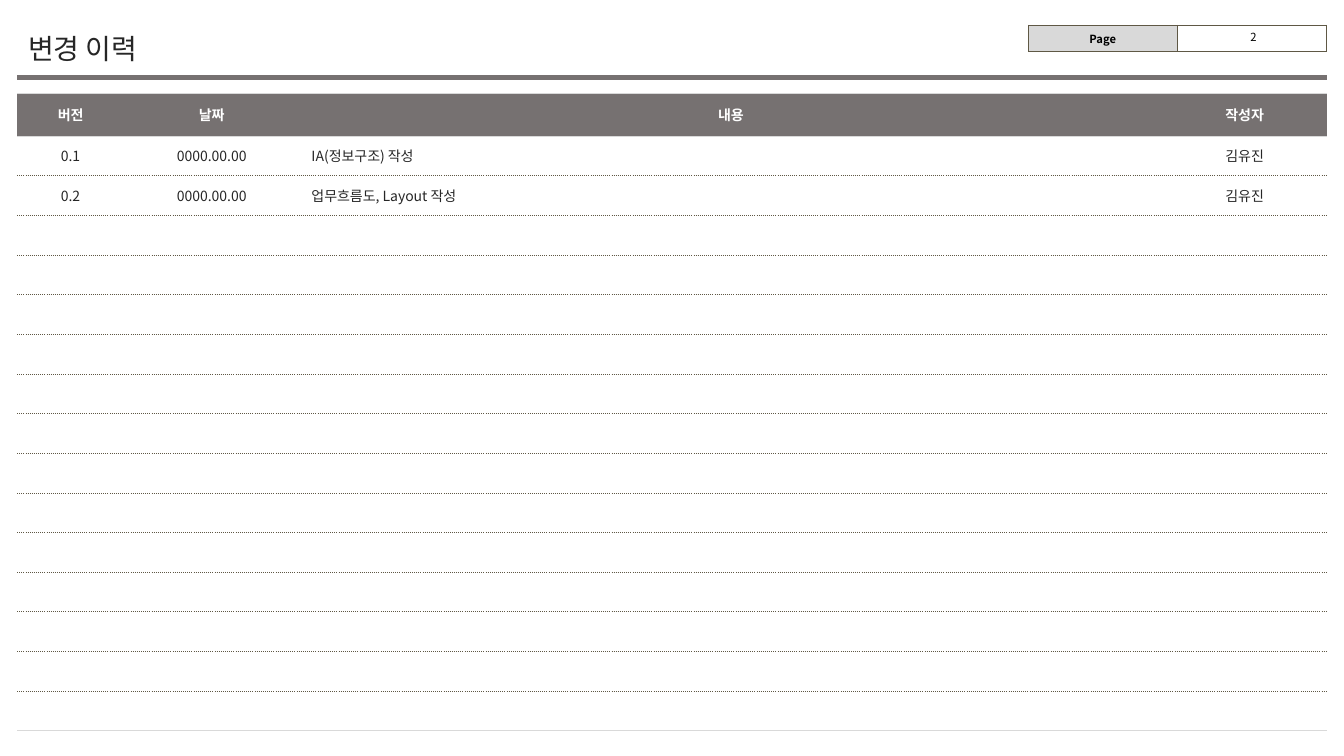
from dataclasses import dataclass

from lxml import etree
from pptx import Presentation
from pptx import util as u
from pptx.dml.color import RGBColor
from pptx.enum import shapes, text
from pptx.oxml.ns import qn

PX = 9144  # EMU per px, 100 px to the inch


@dataclass(frozen=True)
class Theme:
    font: str = "Noto Sans CJK KR"
    bar: str = "767171"
    rule: str = "5F5845"
    pale: str = "D9D9D9"
    white: str = "FFFFFF"
    black: str = "000000"
    ink: str = "262626"
    title: int = 20
    body: int = 10
    small: int = 8


T = Theme()
CENTER, LEFT = text.PP_ALIGN.CENTER, text.PP_ALIGN.LEFT
SOLID, DOTTED, HAIR = (T.rule, "solid"), (T.rule, "dot"), (T.pale, "solid")


def px(*lengths):
    return [round(n * PX) for n in lengths]


def write(tf, words, size, color, align=LEFT, bold=False):
    p = tf.paragraphs[0]
    p.alignment = align
    if words:
        p.add_run().text = words
    else:  # keeps an empty row from growing
        etree.SubElement(p._p, qn("a:endParaRPr"), sz=str(size * 100))
    f = p.font
    f.name, f.size, f.bold = T.font, u.Pt(size), bold
    f.color.rgb = RGBColor.from_string(color)
    rpr = p._p.pPr.find(qn("a:defRPr"))
    etree.SubElement(rpr, qn("a:ea"), typeface=T.font)
    return p


def add_text(s, box, words, size, color, align=LEFT, inset=(10, 5)):
    tf = s.shapes.add_textbox(*px(*box)).text_frame
    tf.word_wrap = True
    tf.vertical_anchor = text.MSO_ANCHOR.MIDDLE
    tf.margin_left = tf.margin_right = px(inset[0])[0]
    tf.margin_top = tf.margin_bottom = px(inset[1])[0]
    return write(tf, words, size, color, align)


def add_grid(s, box, cols, rows):
    tbl = s.shapes.add_table(len(rows), len(cols), *px(*box)).table
    tbl.first_row = tbl.horz_banding = False
    for col, width in zip(tbl.columns, px(*cols)):
        col.width = width
    for row, height in zip(tbl.rows, px(*rows)):
        row.height = height
    return tbl


def dress(cell, fill, inset, sides, top, bottom):
    """Fill, insets and borders of a cell; a border is (colour, dash) or None."""
    cell.vertical_anchor = text.MSO_ANCHOR.MIDDLE
    cell.margin_left = cell.margin_right = px(inset[0])[0]
    cell.margin_top = cell.margin_bottom = px(inset[1])[0]
    cell.fill.solid()
    cell.fill.fore_color.rgb = RGBColor.from_string(fill)
    tc_pr = cell._tc.get_or_add_tcPr()
    for i, (side, line) in enumerate(zip("LRTB", (sides, sides, top, bottom))):
        ln = etree.Element(qn(f"a:ln{side}"), w=str(u.Pt(0.5)))
        if line:
            paint = etree.SubElement(ln, qn("a:solidFill"))
            etree.SubElement(paint, qn("a:srgbClr"), val=line[0])
            etree.SubElement(ln, qn("a:prstDash"), val=line[1])
        else:
            etree.SubElement(ln, qn("a:noFill"))
        tc_pr.insert(i, ln)


def page_box(s, x, y, w, h):
    half = w / 2
    tbl = add_grid(s, (x, y, w, h), (half, half), (h,))
    for cell, words, fill in zip(tbl.iter_cells(), ("Page", ""), (T.pale, T.white)):
        dress(cell, fill, (10, 5), SOLID, SOLID, SOLID)
        write(cell.text_frame, words, T.small, T.black, CENTER, True)
    add_text(s, (x + half + 2, y, half, h), "2", T.small, T.black, CENTER, (0, 0))


def header(s, x, y, w, h):
    # Rule along the foot of the header
    ln = s.shapes.add_connector(shapes.MSO_CONNECTOR.STRAIGHT,
                                *px(x, y + h, x + w, y + h))
    ln.line.color.rgb = RGBColor.from_string(T.bar)
    ln.line.width = u.Pt(3)
    etree.SubElement(ln._element.spPr, qn("a:effectLst"))
    # Page number and title
    page_box(s, x + w - 296, y, 295, 23)
    p = add_text(s, (x + 1, y + 1, 649, 48), "변경 이력", T.title, T.ink)
    p.line_spacing = 0.9


def history(s, x, y, w, h, heads, entries, blank_rows):
    side_cols = (106, 174, 163)
    cols = (*side_cols[:2], w - sum(side_cols), side_cols[2])
    head_h, count = 42, len(entries) + blank_rows
    rows = [head_h] + [(h - head_h) / count] * count
    tbl = add_grid(s, (x, y, w, h), cols, rows)
    lines = [HAIR, HAIR] + [DOTTED] * (count - 1) + [HAIR]
    data = [heads, *entries] + [("",) * len(cols)] * blank_rows
    for r, row in enumerate(data):
        is_head = r == 0
        for c, words in enumerate(row):
            cell = tbl.cell(r, c)
            dress(cell, T.bar if is_head else T.white, (12, 4),
                  None, lines[r], lines[r + 1])
            write(cell.text_frame, words, T.body, T.white if is_head else T.ink,
                  CENTER if is_head or c != 2 else LEFT, is_head)


def main():
    prs = Presentation()
    prs.slide_width, prs.slide_height = px(1333, 750)
    s = prs.slides.add_slide(prs.slide_layouts[6])
    header(s, 17, 25, 1299, 52)
    history(s, 17, 93, 1299, 632,
            ("버전", "날짜", "내용", "작성자"),
            [("0.1", "0000.00.00", "IA(정보구조) 작성", "김유진"),
             ("0.2", "0000.00.00", "업무흐름도, Layout 작성", "김유진")],
            blank_rows=13)
    prs.save("out.pptx")


if __name__ == "__main__":
    main()
